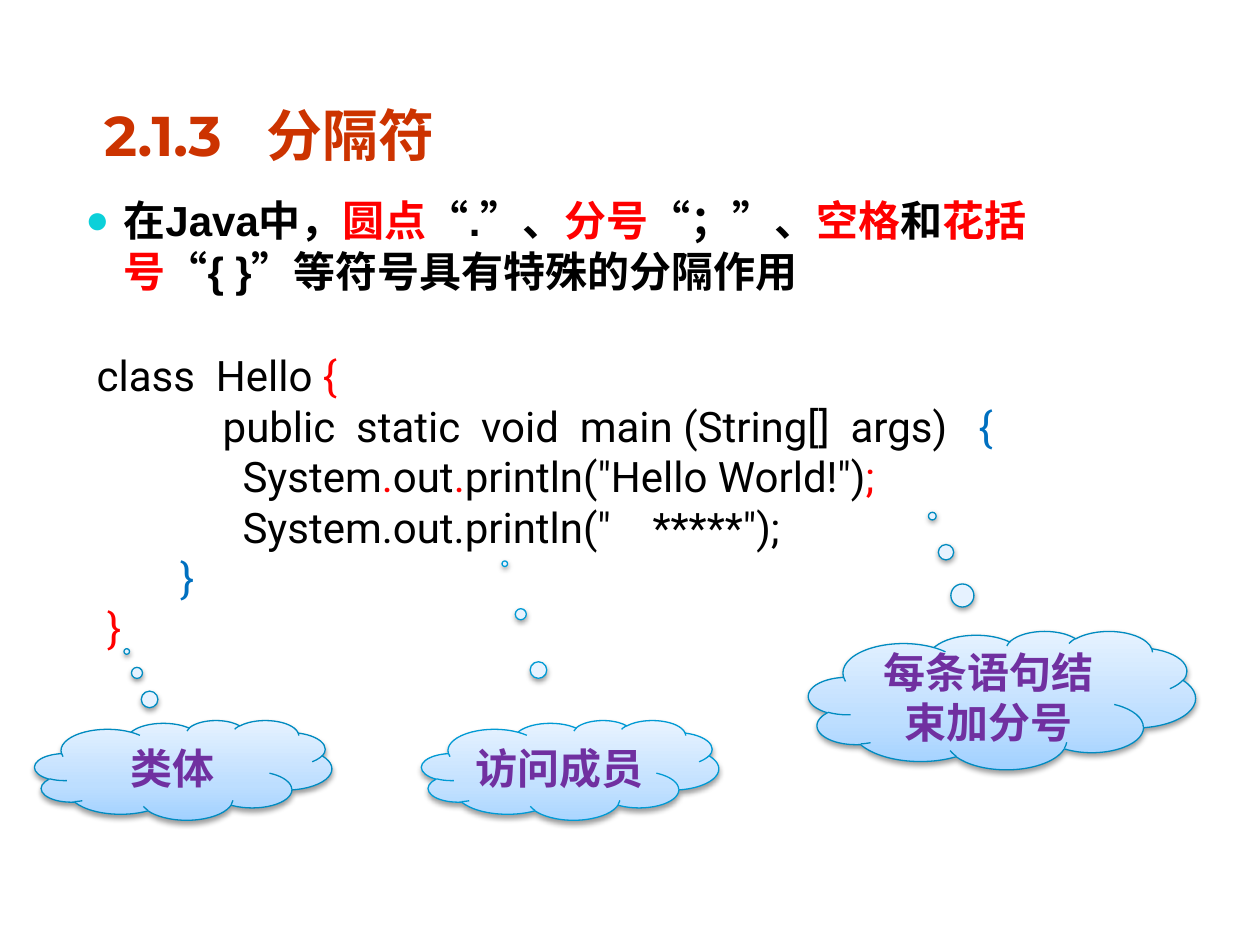
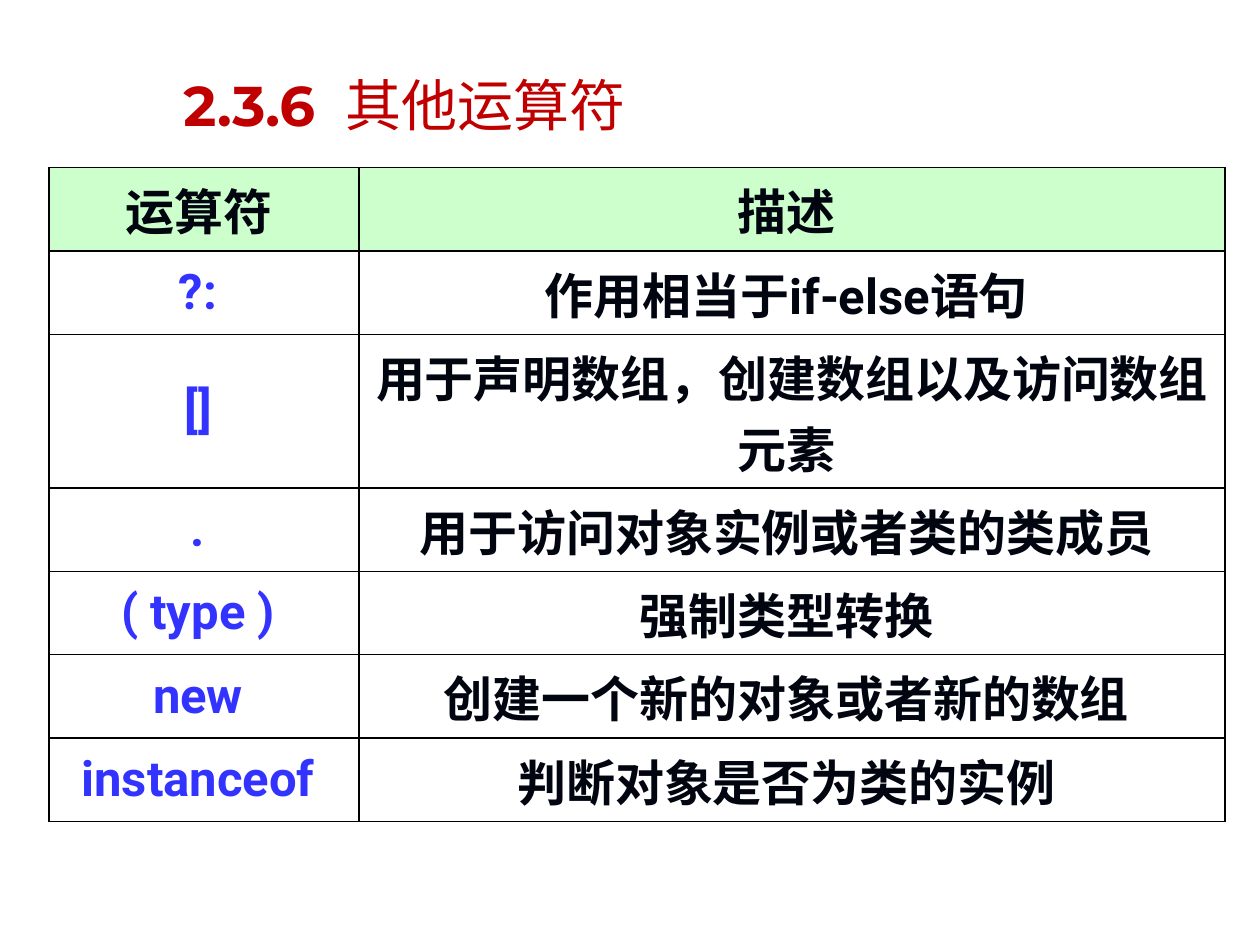
from lxml import etree
from pptx import Presentation
from pptx.dml.color import RGBColor
from pptx.enum.lang import MSO_LANGUAGE_ID as Lang
from pptx.enum.shapes import MSO_SHAPE as Shape
from pptx.enum.text import MSO_ANCHOR as Anchor, PP_ALIGN as Align
from pptx.oxml import parse_xml
from pptx.oxml.ns import nsdecls, qn
from pptx.util import Cm, Pt

BLACK, RED, BLUE, PURPLE = "000000", "FF0000", "0070C0", "7030A0"
INK, OPERATOR, HEADER_FILL, BORDER = "000510", "3333FF", "CCFFCC", "000000"
CJK = "Noto Sans CJK JP"
TITLE = dict(name="Montserrat", east=CJK, size=Pt(32), bold=True)
BODY = dict(name="Arial", east="Arial", size=Pt(24), bold=True, color=BLACK)
QUOTE = BODY | dict(name="Times New Roman", east=CJK)
CODE = dict(name="Roboto", east="Roboto", size=Pt(24), bold=False, color=BLACK)
CELL = dict(name="Roboto", east=CJK, size=Pt(28), bold=True, color=INK)
LINE_PITCH = Pt(28.8)
CLOUD_BLUE = ("008BC0", ((0, "A2D1FF"), (35, "BDDEFF"), (100, "E6F2FF")))
CLOUD_BRIGHT = ("009AD4", ((0, "ABD6FF"), (35, "C3E1FF"), (100, "E8F3FF")))

BULLET_TEXT = [
    ("在Java中，", BODY), ("圆点", BODY | dict(color=RED)),
    ("“", QUOTE), (".", BODY), ("”", QUOTE), ("、", BODY),
    ("分号", BODY | dict(color=RED)),
    ("“", QUOTE), ("；", BODY), ("”", QUOTE), ("、", BODY),
    ("空格", BODY | dict(color=RED)), ("和", BODY),
    ("花括号", BODY | dict(color=RED)),
    ("“", QUOTE), ("{ }", BODY), ("”", QUOTE),
    ("等符号具有特殊的分隔作用", BODY),
]
CODE_LINES = [
    [("class  Hello ", BLACK), ("{", RED)],
    [("\tpublic  static  void  main (String[]  args)\t", BLACK), ("{", BLUE)],
    [("              System", BLACK), (".", RED), ("out", BLACK), (".", RED),
     ('println("Hello World!")', BLACK), (";", RED)],
    [('              System.out.println("    *****");', BLACK)],
    [("        }", BLUE)],
    [(" }", RED)],
]
CLOUDS = [
    ("每条语句结束加分号", (16.3, 12.72, 7.8, 2.79), (-0.179, -1.333), CLOUD_BLUE),
    ("访问成员", (8.5, 14.52, 5.99, 2.01), (-0.22, -2.07), CLOUD_BRIGHT),
    ("类体", (0.7, 14.52, 5.99, 2.01), (-0.193, -1.189), CLOUD_BLUE),
]
OPERATORS = [
    ("运算符 ", "描述 "),
    ("?: ", "作用相当于if-else语句 "),
    ("[] ", "用于声明数组，创建数组以及访问数组元素 "),
    (". ", "用于访问对象实例或者类的类成员 "),
    ("( type ) ", "强制类型转换 "),
    ("new ", "创建一个新的对象或者新的数组 "),
    ("instanceof ", "判断对象是否为类的实例 "),
]


def rgb(value):
    return RGBColor.from_string(value)


def add_span(para, text, style):
    span = para.add_run()
    span.text = text
    span.font.language_id = Lang.SIMPLIFIED_CHINESE
    for key, value in style.items():
        if key == "color":
            span.font.color.rgb = rgb(value)
        elif key != "east":
            setattr(span.font, key, value)
    east = etree.SubElement(span.font._element, qn("a:ea"))
    east.set("typeface", style["east"])


def add_text_box(page, place, **frame_format):
    box = page.shapes.add_textbox(*map(Cm, place))
    frame = box.text_frame
    for key, value in (dict(word_wrap=True) | frame_format).items():
        setattr(frame, key, value)
    return frame


def add_title(page, place, number, words, color, words_bold=True):
    """Put the section number and its name on one line, parted by a tab."""
    frame = add_text_box(page, place, margin_left=0, margin_right=0,
                         margin_top=Cm(0.2), margin_bottom=0)
    para = frame.paragraphs[0]
    para.line_spacing = 0.95
    para._p.get_or_add_pPr().append(parse_xml(
        f'<a:tabLst {nsdecls("a")}><a:tab pos="{Cm(3.27)}" algn="l"/></a:tabLst>'))
    style = TITLE | dict(color=color)
    add_span(para, number + "\t", style)
    add_span(para, words, style | dict(bold=words_bold))


def add_bullet_text(page, place):
    para = add_text_box(page, place, margin_top=Cm(0.2)).paragraphs[0]
    para.line_spacing = LINE_PITCH
    props = para._p.get_or_add_pPr()
    props.set("marL", str(Cm(0.77)))
    props.set("indent", str(-Cm(0.77)))
    for xml in ('<a:buClr {}><a:srgbClr val="0BD0D9"/></a:buClr>',
                '<a:buSzPct {} val="95000"/>',
                '<a:buFont {} typeface="Arial"/>',
                '<a:buChar {} char="●"/>'):
        props.append(parse_xml(xml.format(nsdecls("a"))))
    for text, style in BULLET_TEXT:
        add_span(para, text, style)


def add_code(page, place):
    frame = add_text_box(page, place)
    for index, line in enumerate(CODE_LINES):
        para = frame.add_paragraph() if index else frame.paragraphs[0]
        para.line_spacing = LINE_PITCH
        para._p.get_or_add_pPr().set("defTabSz", str(Cm(2.54)))
        for text, color in line:
            add_span(para, text, CODE | dict(color=color))


def add_cloud(page, text, place, tail, look):
    line_color, stops = look
    cloud = page.shapes.add_shape(Shape.CLOUD_CALLOUT, *map(Cm, place))
    cloud.adjustments[0], cloud.adjustments[1] = (round(part, 2) for part in tail)
    cloud.line.color.rgb = rgb(line_color)
    cloud.line.width = Pt(0.75)
    cloud.shadow.inherit = False
    props = cloud._element.spPr
    stop_xml = "".join(
        f'<a:gs pos="{pos * 1000}"><a:srgbClr val="{color}"/></a:gs>'
        for pos, color in stops)
    props.find(qn("a:prstGeom")).addnext(parse_xml(
        f'<a:gradFill {nsdecls("a")} rotWithShape="1"><a:gsLst>{stop_xml}</a:gsLst>'
        '<a:lin ang="16200000" scaled="0"/></a:gradFill>'))
    props.find(qn("a:effectLst")).append(parse_xml(
        f'<a:outerShdw {nsdecls("a")} blurRad="{Pt(3.1)}" dist="{Pt(1.6)}" '
        'dir="5400000" rotWithShape="0"><a:srgbClr val="000000">'
        '<a:alpha val="38000"/></a:srgbClr></a:outerShdw>'))
    frame = cloud.text_frame
    frame.word_wrap = True
    frame.vertical_anchor = Anchor.MIDDLE
    para = frame.paragraphs[0]
    para.alignment = Align.CENTER
    add_span(para, text, BODY | dict(color=PURPLE))


def format_cell(cell, text, color, fill):
    cell.vertical_anchor = Anchor.MIDDLE
    para = cell.text_frame.paragraphs[0]
    para.alignment = Align.CENTER
    add_span(para, text, CELL | dict(color=color))
    if fill:
        cell.fill.solid()
        cell.fill.fore_color.rgb = rgb(fill)
    else:
        cell.fill.background()
    props = cell._tc.get_or_add_tcPr()
    for index, side in enumerate(("lnL", "lnR", "lnT", "lnB")):
        props.insert(index, parse_xml(
            f'<a:{side} {nsdecls("a")} w="{Pt(1)}"><a:solidFill>'
            f'<a:srgbClr val="{BORDER}"/></a:solidFill></a:{side}>'))


def add_operator_table(page, place):
    left, top, width, height = place
    graphic = page.shapes.add_table(len(OPERATORS), 2, *map(Cm, place))
    table = graphic.table
    table.first_row = table.horz_banding = False
    first_width, row_height, tall_row = 6.25, 1.68, 2
    table.columns[0].width = Cm(first_width)
    table.columns[1].width = Cm(width - first_width)
    for index, texts in enumerate(OPERATORS):
        table.rows[index].height = Cm(
            height - row_height * (len(OPERATORS) - 1) if index == tall_row
            else row_height)
        for column, text in enumerate(texts):
            color = OPERATOR if index and column == 0 else INK
            format_cell(table.cell(index, column), text, color,
                        None if index else HEADER_FILL)


def build_separator_slide(page):
    add_title(page, (2.1, 1.93, 12.37, 1.47), "2.1.3", "分隔符", "CC3300")
    add_bullet_text(page, (1.47, 3.73, 20.93, 2.54))
    add_code(page, (1.7, 6.93, 21.41, 6.4))
    for cloud in CLOUDS:
        add_cloud(page, *cloud)


def build_operator_slide(page):
    add_title(page, (3.7, 1.32, 16.28, 1.45), "2.3.6", "其他运算符", "C00000",
              words_bold=False)
    add_operator_table(page, (0.99, 3.38, 23.7, 13.18))


def main():
    deck = Presentation()
    deck.slide_width, deck.slide_height = Cm(25.4), Cm(19.05)
    for build in (build_separator_slide, build_operator_slide):
        build(deck.slides.add_slide(deck.slide_layouts[6]))
    deck.save("out.pptx")


if __name__ == "__main__":
    main()
